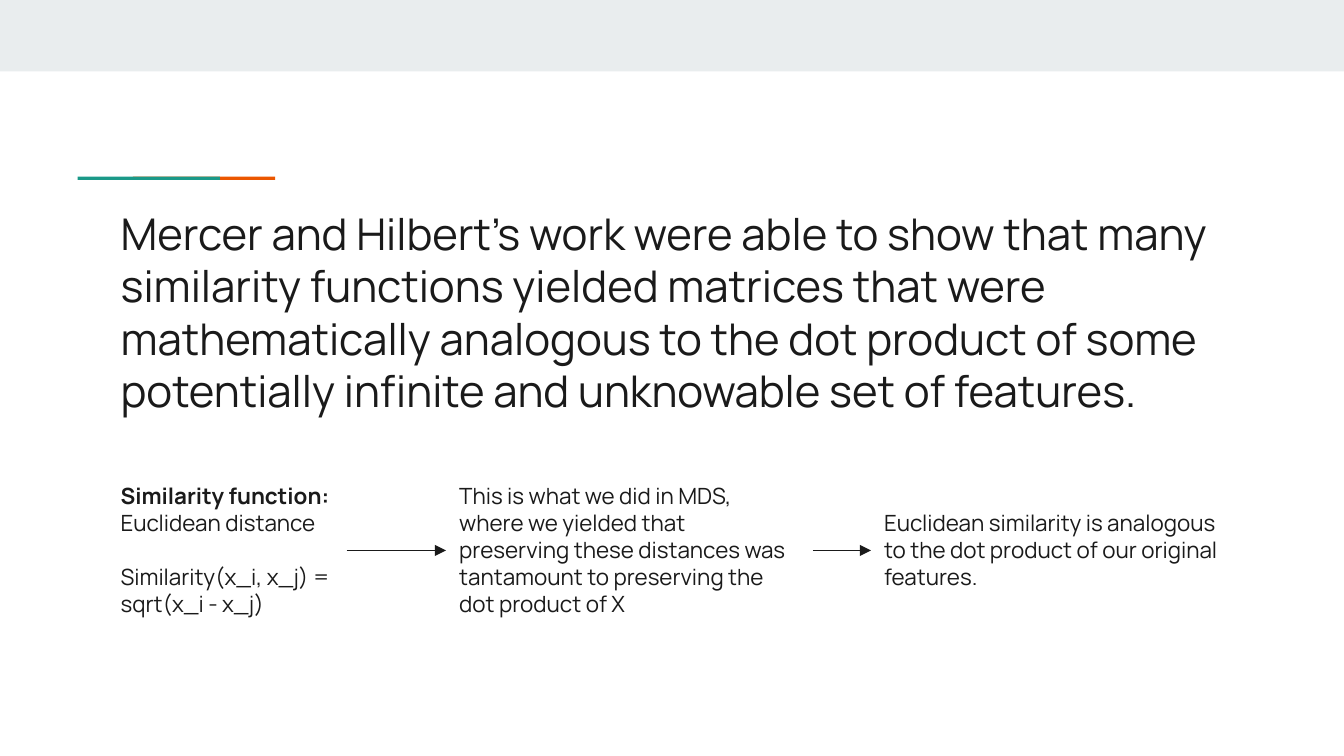
from lxml import etree
from pptx import Presentation
from pptx.dml.color import RGBColor
from pptx.enum.shapes import MSO_CONNECTOR, MSO_SHAPE
from pptx.oxml.ns import qn
from pptx.util import Cm, Pt

RECTANGLE = MSO_SHAPE.RECTANGLE
STRAIGHT = MSO_CONNECTOR.STRAIGHT
FONT = "Manrope"
COLORS = {"band": "E9EDEE", "orange": "EB5600", "teal": "1A9988", "ink": "1A1A1A"}
PAGE_WIDTH, PAGE_HEIGHT = 25.4, 14.29
PADDING = 0.25

STATEMENT = (
    "Mercer and Hilbert’s work were able to show that many similarity functions "
    "yielded matrices that were mathematically analogous to the dot product of "
    "some potentially infinite and unknowable set of features."
)
STEPS = [
    (0, 4.52, 3.07, ["Similarity function:", "Euclidean distance",
                     "Similarity(x_i, x_j) = sqrt(x_i - x_j)"]),
    (6.4, 6.93, 3.07, ["This is what we did in MDS, where we yielded that preserving "
                       "these distances was tantamount to preserving the dot product of X"]),
    (14.43, 6.93, 2.06, ["Euclidean similarity is analogous to the dot product of "
                         "our original features."]),
]


def add_bar(page, left, top, width, height, color):
    bar = page.shapes.add_shape(RECTANGLE, Cm(left), Cm(top), Cm(width), Cm(height))
    bar.shadow.inherit = False
    bar.fill.solid()
    bar.fill.fore_color.rgb = RGBColor.from_string(COLORS[color])
    bar.line.fill.background()


def add_text(page, left, top, width, height, lines, size):
    box = page.shapes.add_textbox(Cm(left), Cm(top), Cm(width), Cm(height))
    frame = box.text_frame
    frame.word_wrap = True
    frame.margin_left = frame.margin_right = Cm(PADDING)
    frame.margin_top = frame.margin_bottom = Cm(PADDING)
    frame.text = "\n".join(lines)
    for para in frame.paragraphs:
        para.font.name = FONT
        para.font.size = Pt(size)
        para.font.color.rgb = RGBColor.from_string(COLORS["ink"])
    return frame


def add_arrow(page, start, end, middle):
    arrow = page.shapes.add_connector(STRAIGHT, Cm(start), Cm(middle), Cm(end), Cm(middle))
    arrow.line.color.rgb = RGBColor.from_string(COLORS["ink"])
    arrow.line.width = Pt(0.75)
    etree.SubElement(arrow.line._get_or_add_ln(), qn("a:tailEnd"), type="triangle")
    etree.SubElement(arrow._element.spPr, qn("a:effectLst"))


def add_accent(page, left, top, width, height):
    bar_width = width * 0.72
    add_bar(page, left + width - bar_width, top, bar_width, height, "orange")
    add_bar(page, left, top, bar_width, height, "teal")


def add_steps(page, left, top, height):
    middle = top + height / 2
    previous_end = None
    for offset, step_width, step_height, lines in STEPS:
        start = left + offset
        frame = add_text(page, start, middle - step_height / 2,
                         step_width, step_height, lines, 12)
        if previous_end is None:
            frame.paragraphs[0].font.bold = True
            frame.paragraphs[-1].space_before = Pt(14.5)
        else:
            add_arrow(page, previous_end, start, middle)
        previous_end = start + step_width


def main():
    deck = Presentation()
    deck.slide_width, deck.slide_height = Cm(PAGE_WIDTH), Cm(PAGE_HEIGHT)
    page = deck.slides.add_slide(deck.slide_layouts[6])
    add_bar(page, 0, 0, PAGE_WIDTH, 1.35, "band")
    add_accent(page, 1.47, 3.34, 3.73, 0.06)
    add_text(page, 2.03, 3.66, 21.36, 1.5, [STATEMENT], 23.4)
    add_steps(page, 2.03, 8.87, 3.07)
    deck.save("out.pptx")


if __name__ == "__main__":
    main()
